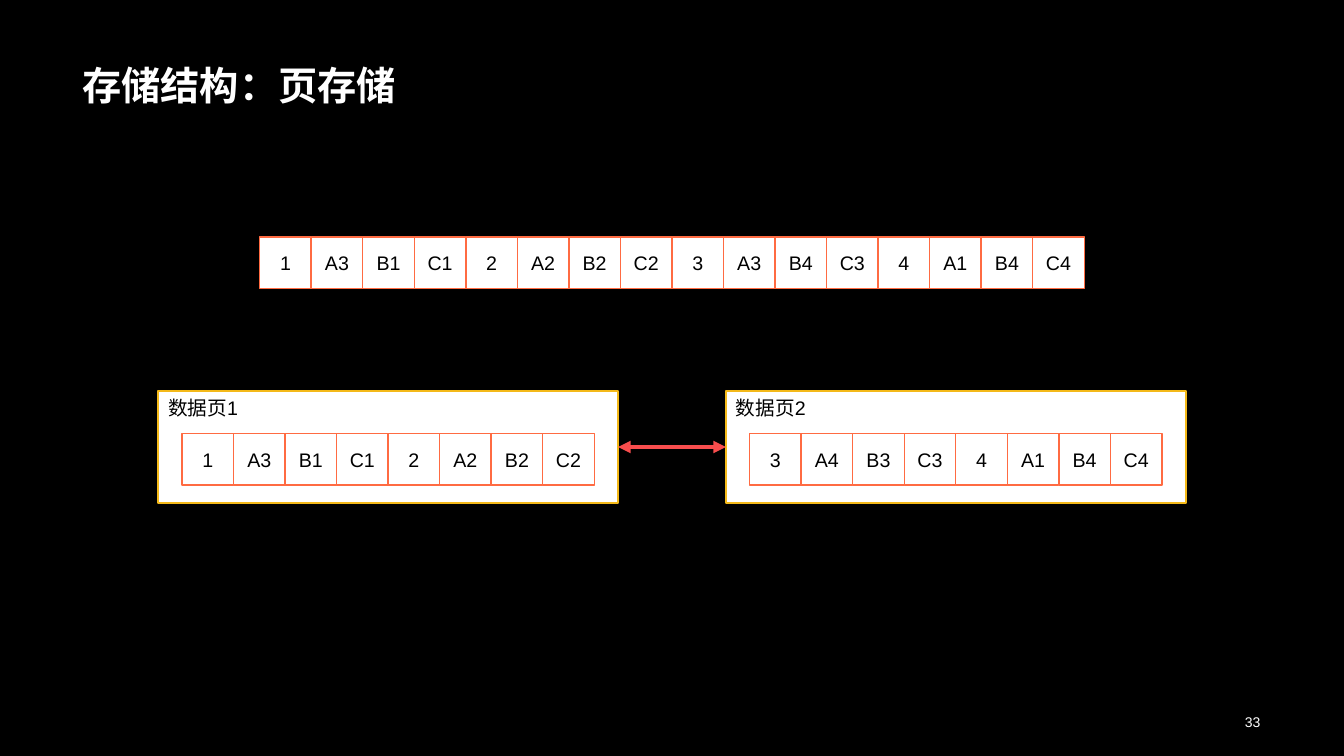
from lxml import etree
from pptx import Presentation
from pptx.dml.color import RGBColor as RGB
from pptx.enum.shapes import MSO_CONNECTOR as CONN, MSO_SHAPE as SHAPE
from pptx.enum.text import MSO_ANCHOR as ANCHOR, PP_ALIGN as ALIGN
from pptx.oxml.ns import qn
from pptx.util import Inches, Pt

TITLE = "存储结构：页存储"
PAGE_NUMBER = "33"
RECORDS = "1 A3 B1 C1 2 A2 B2 C2 3 A3 B4 C3 4 A1 B4 C4".split()
PAGES = [
    ("数据页1", "1 A3 B1 C1 2 A2 B2 C2".split()),
    ("数据页2", "3 A4 B3 C3 4 A1 B4 C4".split()),
]
COLORS = {"back": "000000", "light": "FFFFFF", "dark": "000000",
          "cell": "FF6B42", "page": "F4B919", "arrow": "F84D4D"}
FONTS = {
    "title": {"size": Pt(28), "bold": True, "name": "Arial"},
    "number": {"size": Pt(10), "name": "Arial"},
    "body": {"size": Pt(14), "name": "Arial"},
}

W, H = 13.33, 7.5
CELL = W / 26.08
RECORDS_TOP, PAGE_TOP, PAGE_CELLS_TOP = 2.35, 3.88, 4.3
PAGE_W, PAGE_H, PAGE_GAP = 4.56, 1.11, 1.07
ARROW_Y = PAGE_TOP + PAGE_H / 2


def box(x, y, w, h):
    return [Inches(v) for v in (x, y, w, h)]


def color(name):
    return RGB.from_string(COLORS[name])


def write(sp, text, font, ink, align, anchor):
    tf = sp.text_frame
    tf.word_wrap = True
    tf.vertical_anchor = anchor
    p = tf.paragraphs[0]
    p.alignment = align
    r = p.add_run()
    r.text = text
    for key, value in FONTS[font].items():
        setattr(r.font, key, value)
    r.font.color.rgb = color(ink)
    return p


def add_rect(shapes, place, line, width, text, align, anchor):
    sp = shapes.add_shape(SHAPE.RECTANGLE, *place)
    sp.shadow.inherit = False
    sp.fill.solid()
    sp.fill.fore_color.rgb = color("light")
    sp.line.color.rgb = color(line)
    sp.line.width = Pt(width)
    write(sp, text, "body", "dark", align, anchor)


def add_cells(shapes, values, center, top):
    left = center - len(values) * CELL / 2
    for i, value in enumerate(values):
        add_rect(shapes, box(left + i * CELL, top, CELL, CELL),
                 "cell", 1, value, ALIGN.CENTER, ANCHOR.MIDDLE)


def add_arrow(shapes, x1, x2, y):
    line = shapes.add_connector(CONN.STRAIGHT, *box(x1, y, x2, y))
    line.line.color.rgb = color("arrow")
    line.line.width = Pt(3)
    ln = line.line._get_or_add_ln()
    for end in ("a:headEnd", "a:tailEnd"):
        etree.SubElement(ln, qn(end), type="triangle")
    etree.SubElement(line._element.spPr, qn("a:effectLst"))


def main():
    prs = Presentation()
    prs.slide_width, prs.slide_height = Inches(W), Inches(H)
    s = prs.slides.add_slide(prs.slide_layouts[6])
    s.background.fill.solid()
    s.background.fill.fore_color.rgb = color("back")

    title = s.shapes.add_textbox(*box(0.72, 0.6, 11.88, 0.53))
    p = write(title, TITLE, "title", "light", ALIGN.LEFT, ANCHOR.BOTTOM)
    p.line_spacing = 0.9
    number = s.shapes.add_textbox(*box(9.69, 7.03, 2.91, 0.27))
    write(number, PAGE_NUMBER, "number", "light", ALIGN.RIGHT, ANCHOR.MIDDLE)

    add_cells(s.shapes.add_group_shape().shapes, RECORDS, W / 2, RECORDS_TOP)

    first_left = (W - 2 * PAGE_W - PAGE_GAP) / 2
    for i, (name, values) in enumerate(PAGES):
        left = first_left + i * (PAGE_W + PAGE_GAP)
        page = s.shapes.add_group_shape().shapes
        add_rect(page, box(left, PAGE_TOP, PAGE_W, PAGE_H),
                 "page", 1.5, name, ALIGN.LEFT, ANCHOR.TOP)
        add_cells(page, values, left + PAGE_W / 2, PAGE_CELLS_TOP)

    add_arrow(s.shapes, (W - PAGE_GAP) / 2, (W + PAGE_GAP) / 2, ARROW_Y)
    prs.save("out.pptx")


if __name__ == "__main__":
    main()
